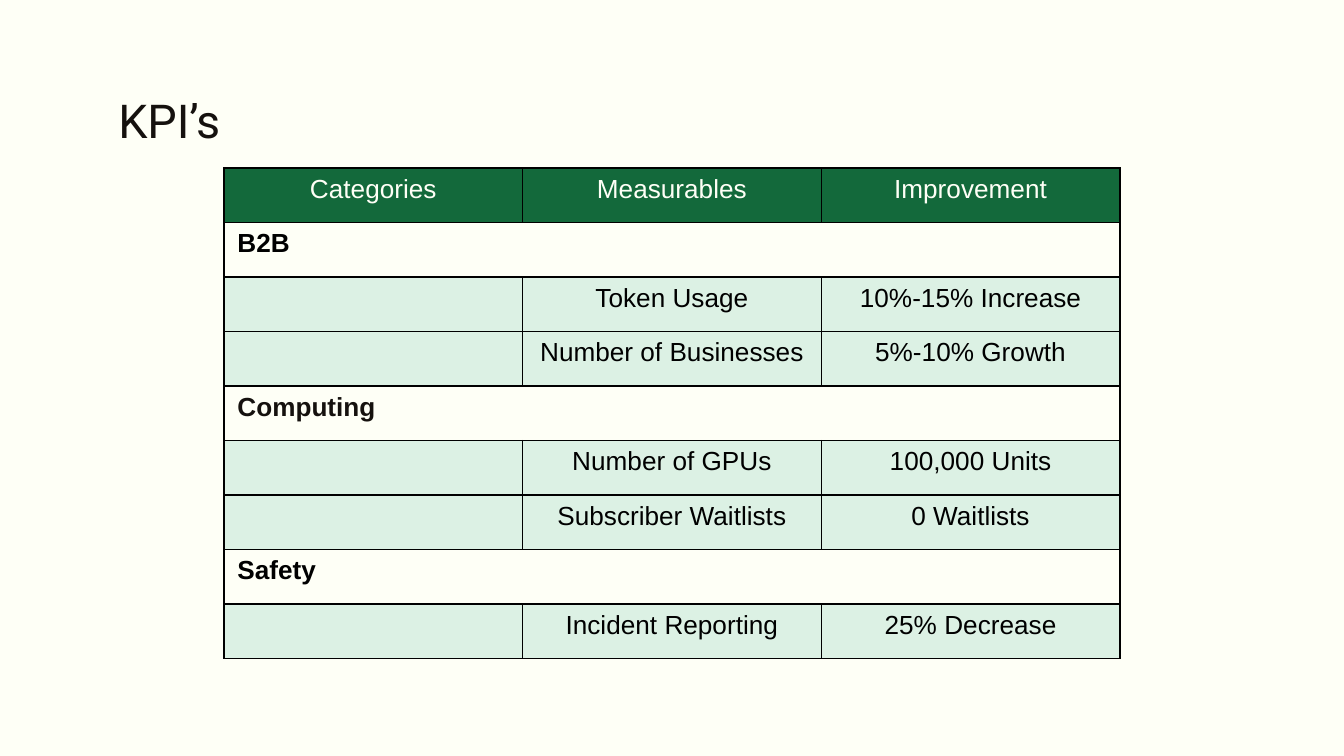
import dataclasses

import lxml.etree
import pptx
import pptx.dml.color
import pptx.enum.text
import pptx.oxml.ns
import pptx.util

INK, BLACK, CREAM = "15110E", "000000", "FEFFF6"
GREEN, MINT = "13693B", "DCF1E4"
ALIGN = pptx.enum.text.PP_ALIGN


@dataclasses.dataclass(frozen=True)
class Measure:
    name: str
    improvement: str


@dataclasses.dataclass(frozen=True)
class Category:
    name: str
    measures: tuple[Measure, ...]
    colour: str = BLACK


HEADINGS = ("Categories", "Measurables", "Improvement")
CATEGORIES = (
    Category("B2B", (
        Measure("Token Usage", "10%-15% Increase"),
        Measure("Number of Businesses", "5%-10% Growth"),
    )),
    Category("Computing", (
        Measure("Number of GPUs", "100,000 Units"),
        Measure("Subscriber Waitlists", "0 Waitlists"),
    ), INK),
    Category("Safety", (Measure("Incident Reporting", "25% Decrease"),)),
)


def rgb(colour: str) -> pptx.dml.color.RGBColor:
    return pptx.dml.color.RGBColor.from_string(colour)


def add_borders(cell, colour: str = BLACK, points: float = 0.75) -> None:
    properties = cell._tc.get_or_add_tcPr()
    qn = pptx.oxml.ns.qn
    for side in ("lnL", "lnR", "lnT", "lnB"):
        line = lxml.etree.SubElement(
            properties, qn(f"a:{side}"), w=str(pptx.util.Pt(points)))
        fill = lxml.etree.SubElement(line, qn("a:solidFill"))
        lxml.etree.SubElement(fill, qn("a:srgbClr"), val=colour)


def write_cell(cell, text: str, colour: str, fill: str | None,
               bold: bool = False, align: ALIGN = ALIGN.CENTER) -> None:
    add_borders(cell)
    if fill:
        cell.fill.solid()
        cell.fill.fore_color.rgb = rgb(fill)
    else:
        cell.fill.background()
    cell.text = text
    paragraph = cell.text_frame.paragraphs[0]
    paragraph.alignment = align
    font = paragraph.font
    font.name, font.size, font.bold = "Arial", pptx.util.Pt(14), bold
    font.color.rgb = rgb(colour)


def write_row(table, row: int, texts: tuple[str, ...], colour: str, fill: str) -> None:
    for column, text in enumerate(texts):
        write_cell(table.cell(row, column), text, colour, fill)


def write_category_row(table, row: int, category: Category) -> None:
    last = len(HEADINGS) - 1
    table.cell(row, 0).merge(table.cell(row, last))
    for column in range(last + 1):
        write_cell(table.cell(row, column), "" if column else category.name,
                   category.colour, None, bold=True, align=ALIGN.LEFT)


def add_title(slide, width: int, height: int) -> None:
    title = slide.shapes.title
    title.left, title.top = round(width * 0.078), round(height * 0.104)
    title.width, title.height = round(width * 0.422), round(height * 0.107)
    frame = title.text_frame
    frame.text = "KPI’s"
    frame.word_wrap = True
    frame.auto_size = pptx.enum.text.MSO_AUTO_SIZE.NONE
    frame.vertical_anchor = pptx.enum.text.MSO_ANCHOR.TOP
    frame.margin_left = frame.margin_right = pptx.util.Inches(0.1)
    frame.margin_top = frame.margin_bottom = pptx.util.Inches(0.1)
    paragraph = frame.paragraphs[0]
    paragraph.alignment = ALIGN.LEFT
    font = paragraph.font
    font.name, font.size = "Roboto", pptx.util.Pt(25)
    font.color.rgb = rgb(INK)


def add_kpi_table(slide, width: int, height: int) -> None:
    """Centre the table on two thirds of the slide's width, in equal rows."""
    row_count = 1 + sum(1 + len(category.measures) for category in CATEGORIES)
    table_width, table_height = width * 2 // 3, round(height * 0.649)
    table = slide.shapes.add_table(
        row_count, len(HEADINGS), (width - table_width) // 2,
        round(height * 2 / 9), table_width, table_height).table
    table.first_row = table.horz_banding = False

    write_row(table, 0, HEADINGS, CREAM, GREEN)
    row = 1
    for category in CATEGORIES:
        write_category_row(table, row, category)
        for row, measure in enumerate(category.measures, row + 1):
            write_row(table, row, ("", measure.name, measure.improvement), BLACK, MINT)
        row += 1


def main() -> None:
    deck = pptx.Presentation()
    deck.slide_width = pptx.util.Inches(10)
    deck.slide_height = deck.slide_width * 9 // 16
    title_only = deck.slide_layouts.get_by_name("Title Only")
    slide = deck.slides.add_slide(title_only)
    background = slide.background.fill
    background.solid()
    background.fore_color.rgb = rgb(CREAM)
    add_title(slide, deck.slide_width, deck.slide_height)
    add_kpi_table(slide, deck.slide_width, deck.slide_height)
    deck.save("out.pptx")


if __name__ == "__main__":
    main()
